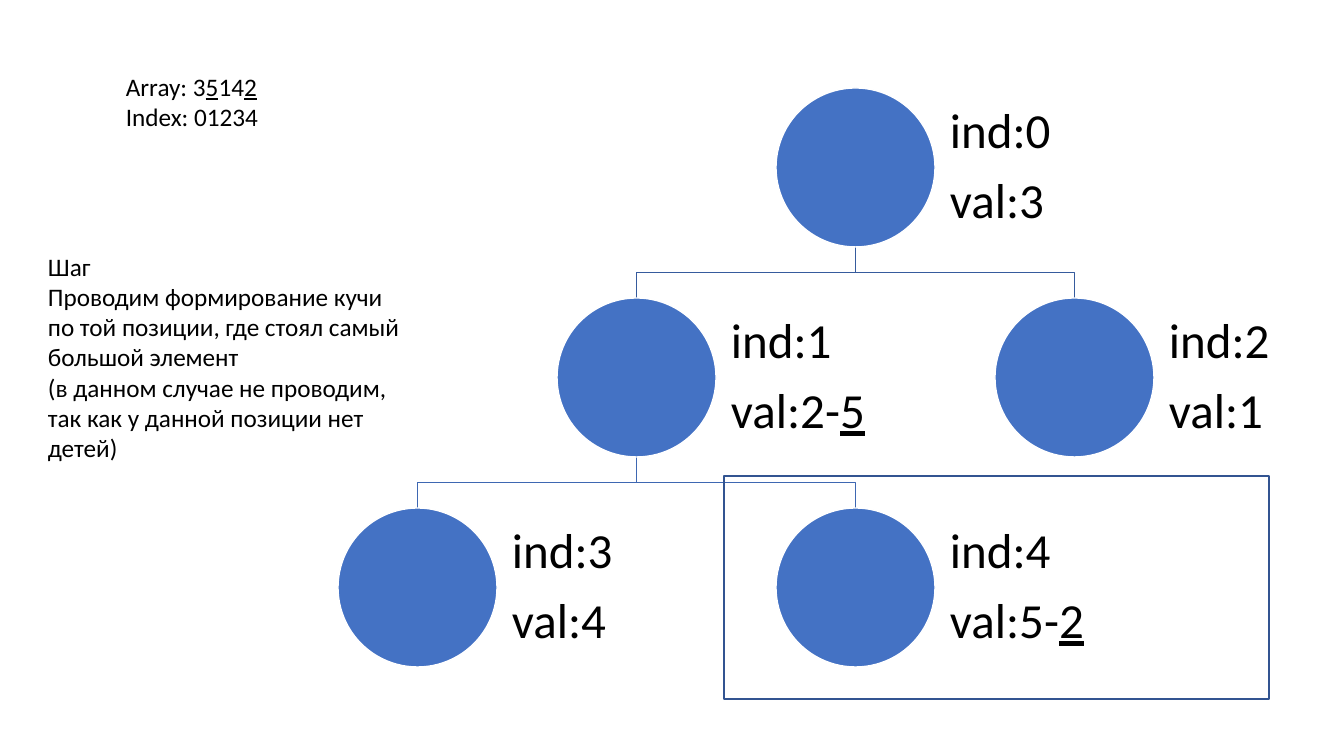
import pptx
import pptx.util
import pptx.dml.color
import pptx.enum.shapes
import pptx.enum.text

SCALE = 914400 / 100.8
SIZE = 159
NODES = [
    (2, 0, ["ind:0", "val:3"]),
    (1, 1, ["ind:1", "val:2-_5_"]),
    (0, 2, ["ind:3", "val:4"]),
    (2, 2, ["ind:4", "val:5-_2_"]),
    (3, 1, ["ind:2", "val:1"]),
]
EDGES = [(0, 4, "365B9D"), (1, 3, "3E67B2"), (1, 2, "3E67B2"), (0, 1, "365B9D")]
ARRAY = ["Array: 3_5_14_2_", "Index: 01234"]
STEP = [
    "Шаг ",
    "Проводим формирование кучи по той позиции, где стоял самый большой элемент",
    "(в данном случае не проводим, так как у данной позиции нет детей)",
]


def emu(px):
    """Turn pixels into EMU."""
    return pptx.util.Emu(round(px * SCALE))


def color(text):
    """Turn a hex string into a colour."""
    return pptx.dml.color.RGBColor.from_string(text)


def corner(node):
    """Give the left and top of a node's circle."""
    col, row, _ = node
    return 338 + 219 * col, 88 + 210 * row


def style(shape, fill, line):
    """Set fill and outline, and drop the shadow."""
    shape.shadow.inherit = False
    if fill:
        shape.fill.solid()
        shape.fill.fore_color.rgb = color(fill)
    else:
        shape.fill.background()
    shape.line.color.rgb = color(line)
    shape.line.width = pptx.util.Pt(1)


def add_text(slide, box, lines, size):
    """Add a text box where underscores enclose underlined parts."""
    frame = slide.shapes.add_textbox(*map(emu, box)).text_frame
    frame.word_wrap = True
    for num, line in enumerate(lines):
        para = frame.paragraphs[0] if num == 0 else frame.add_paragraph()
        for part, text in enumerate(line.split("_")):
            if text:
                run = para.add_run()
                run.text = text
                run.font.name = "Calibri"
                run.font.size = pptx.util.Pt(size)
                run.font.color.rgb = color("000000")
                run.font.underline = part % 2 == 1
    return frame


def add_edge(slide, start, end, line):
    """Draw an elbow line from a parent down to a child."""
    left, top = corner(start)
    low_left, low = corner(end)
    x, y = left + SIZE / 2, top + SIZE
    end_x, mid = low_left + SIZE / 2, (y + low) / 2
    pen = slide.shapes.build_freeform(emu(x), emu(y))
    points = [(x, mid), (end_x, mid), (end_x, low)]
    pen.add_line_segments([(emu(a), emu(b)) for a, b in points], close=False)
    style(pen.convert_to_shape(), None, line)


def add_node(slide, node):
    """Draw a circle with its label on the right."""
    left, top = corner(node)
    kind = pptx.enum.shapes.MSO_SHAPE.OVAL
    disc = slide.shapes.add_shape(kind, *map(emu, (left, top, SIZE, SIZE)))
    style(disc, "4472C4", "FFFFFF")
    frame = add_text(slide, (left + SIZE, top, 239, SIZE), node[2], 35)
    frame.vertical_anchor = pptx.enum.text.MSO_ANCHOR.MIDDLE
    frame.margin_left = frame.margin_right = emu(15)
    frame.margin_top = frame.margin_bottom = emu(15)
    for para in frame.paragraphs:
        para.line_spacing = 0.9
        para.space_after = pptx.util.Pt(12.25)


def main():
    """Build the heap slide and save it."""
    deck = pptx.Presentation()
    deck.slide_width, deck.slide_height = emu(1344), emu(756)
    slide = deck.slides.add_slide(deck.slide_layouts[6])
    add_text(slide, (116, 66, 404, 72), ARRAY, 18)
    for start, end, line in EDGES:
        add_edge(slide, NODES[start], NODES[end], line)
    for node in NODES:
        add_node(slide, node)
    kind = pptx.enum.shapes.MSO_SHAPE.RECTANGLE
    frame = slide.shapes.add_shape(kind, *map(emu, (724, 476, 545, 223)))
    style(frame, None, "325491")
    add_text(slide, (38, 246, 377, 224), STEP, 18)
    deck.save("out.pptx")


main()
